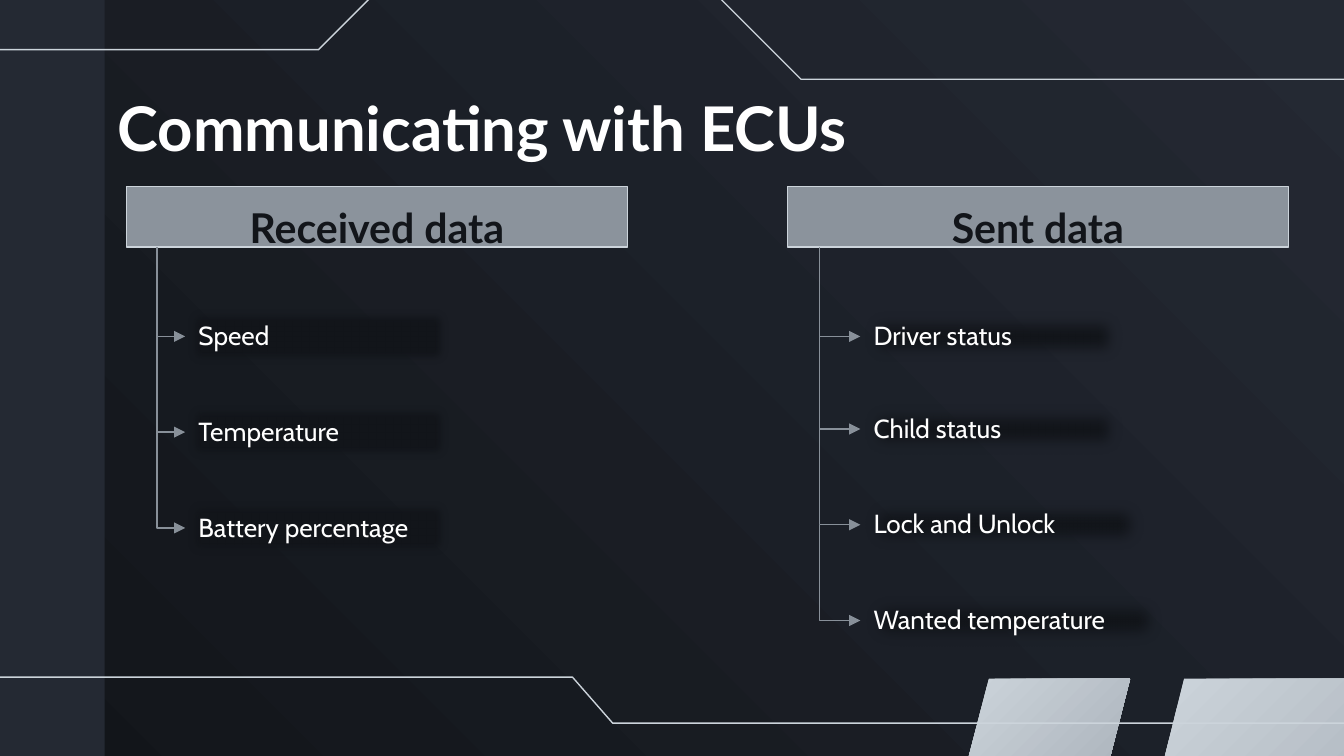
from lxml.etree import SubElement
from pptx import Presentation
from pptx.dml.color import RGBColor
from pptx.enum.shapes import MSO_CONNECTOR, MSO_SHAPE
from pptx.enum.text import MSO_ANCHOR, PP_ALIGN
from pptx.oxml.ns import qn
from pptx.util import Cm, Pt

INK, SLATE, SILVER, STEEL = "12151A", "242933", "CCD4DB", "8B939C"
SLIDE_W, SLIDE_H = 25.4, 14.29
ROW_H = 1.14


def color(hex_string):
    return RGBColor.from_string(hex_string)


def fill_gradient(fill, start, end, angle):
    fill.gradient()
    fill.gradient_angle = angle
    for stop, shade in zip(fill.gradient_stops, (start, end)):
        stop.color.rgb = color(shade)


def outline(line, shade):
    line.color.rgb = color(shade)
    line.width = Pt(0.75)


def write(shape, text, size, font, shade, bold=False, align=PP_ALIGN.LEFT,
          anchor=MSO_ANCHOR.TOP, spacing=None, bottom=0.25):
    frame = shape.text_frame
    frame.word_wrap = True
    frame.vertical_anchor = anchor
    frame.margin_left = frame.margin_right = frame.margin_top = Cm(0.25)
    frame.margin_bottom = Cm(bottom)
    paragraph = frame.paragraphs[0]
    paragraph.text = text
    paragraph.alignment = align
    if spacing:
        paragraph.line_spacing = spacing
    paragraph.font.size = Pt(size)
    paragraph.font.name = font
    paragraph.font.bold = bold
    paragraph.font.color.rgb = color(shade)


def add_box(slide, left, top, width, height, fill, line=None):
    box = slide.shapes.add_shape(MSO_SHAPE.RECTANGLE, Cm(left), Cm(top), Cm(width), Cm(height))
    box.shadow.inherit = False
    box.fill.solid()
    box.fill.fore_color.rgb = color(fill)
    if line:
        outline(box.line, line)
    else:
        box.line.fill.background()
    return box


def add_path(slide, points, close):
    corners = [(Cm(x), Cm(y)) for x, y in points]
    builder = slide.shapes.build_freeform(*corners[0], scale=1.0)
    builder.add_line_segments(corners[1:], close=close)
    path_shape = builder.convert_to_shape()
    path_shape.shadow.inherit = False
    return path_shape


def soften_edges(shape, radius):
    effects = shape._element.spPr.find(qn("a:effectLst"))
    SubElement(effects, qn("a:softEdge"), rad=str(Cm(radius)))


def add_branch(slide, x, y, end_x, end_y):
    """Elbow arrow that runs down from (x, y), then right to (end_x, end_y)."""
    center_x, center_y = (x + end_x) / 2, (y + end_y) / 2
    # The unrotated frame swaps width and height around the same centre
    half_w, half_h = (end_y - y) / 2, (end_x - x) / 2
    branch = slide.shapes.add_connector(
        MSO_CONNECTOR.ELBOW, Cm(center_x + half_w), Cm(center_y - half_h),
        Cm(center_x - half_w), Cm(center_y + half_h))
    outline(branch.line, "889099")
    properties = branch._element.spPr
    properties.find(qn("a:xfrm")).set("rot", str(270 * 60000))
    properties.find(qn("a:prstGeom")).set("prst", "bentConnector2")
    SubElement(properties.find(qn("a:ln")), qn("a:tailEnd"), type="triangle")
    SubElement(properties, qn("a:effectLst"))


def add_backdrop(slide, width, height):
    fill_gradient(slide.background.fill, INK, SLATE, 45)
    # Slanted plates in the lower right corner
    plates = [
        [(18.69, 12.83), (18.21, 14.68), (20.88, 14.71), (21.36, 12.83)],
        [(22.38, 12.83), (21.92, 14.68), (27.53, 14.66), (27.53, 12.83)],
    ]
    for corners in plates:
        plate = add_path(slide, corners, close=True)
        fill_gradient(plate.fill, SILVER, "ABB3BB", 315)
        plate.line.fill.background()
    # Sidebar
    add_box(slide, 0, 0, 1.98, height, SLATE)
    # Thin angled lines, running slightly past the slide edges
    traces = [
        [(-0.1, 0.94), (6.02, 0.94), (7.11, -0.15), (13.49, -0.15),
         (15.14, 1.5), (width + 0.33, 1.5)],
        [(-0.64, 12.8), (10.82, 12.8), (11.58, 13.67), (width + 1.07, 13.67)],
    ]
    for points in traces:
        trace = add_path(slide, points, close=False)
        trace.fill.background()
        outline(trace.line, SILVER)


def add_title(slide, left, top, width, height):
    title = slide.shapes.add_textbox(Cm(left), Cm(top), Cm(width), Cm(height))
    write(title, "Communicating with ECUs", 33, "Lato", "FFFFFF", bold=True)


def add_data_tree(slide, left, top, width, heading, items, spine, indent, softness):
    """Heading bar with items below; spine and indent are offsets from left."""
    header = add_box(slide, left, top, width, ROW_H, STEEL, SILVER)
    write(header, heading, 22, "Lato", INK, bold=True, align=PP_ALIGN.CENTER,
          anchor=MSO_ANCHOR.MIDDLE, spacing=1.5, bottom=0.33)
    branch_y = top + ROW_H
    for label, offset, item_width in items:
        item_top = top + offset
        item = add_box(slide, left + indent, item_top, item_width, ROW_H, INK, SILVER)
        soften_edges(item, softness)
        write(item, label, 14, "Cabin", "FFFFFF")
        middle = item_top + ROW_H / 2
        add_branch(slide, left + spine, branch_y, left + indent, middle)
        branch_y = middle


def main():
    deck = Presentation()
    deck.slide_width, deck.slide_height = Cm(SLIDE_W), Cm(SLIDE_H)
    slide = deck.slides.add_slide(deck.slide_layouts[6])
    add_backdrop(slide, SLIDE_W, SLIDE_H)
    add_title(slide, 1.98, 1.45, 21.44, 1.6)

    # Each item: label, distance below the heading's top, width
    received = [("Speed", 2.26, 5.03), ("Temperature", 4.07, 5.03),
                ("Battery percentage", 5.88, 5.03)]
    sent = [("Driver status", 2.26, 5.03), ("Child status", 4.01, 5.03),
            ("Lock and Unlock", 5.82, 5.46), ("Wanted temperature", 7.63, 5.82)]
    add_data_tree(slide, 2.39, 3.53, 9.47, "Received data", received,
                  spine=0.58, indent=1.11, softness=0.18)
    add_data_tree(slide, 14.88, 3.53, 9.47, "Sent data", sent,
                  spine=0.61, indent=1.38, softness=0.31)
    deck.save("out.pptx")


if __name__ == "__main__":
    main()
